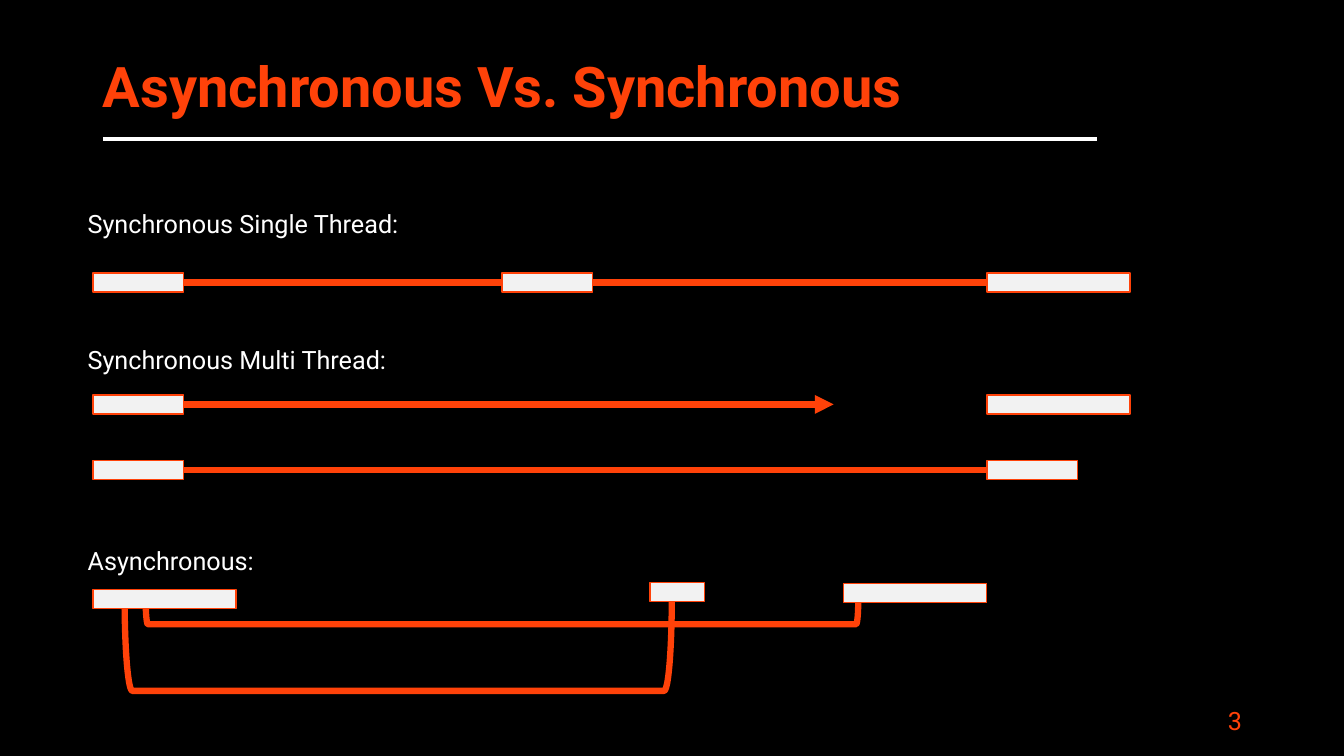
from pptx import Presentation
from pptx.dml.color import RGBColor
from pptx.enum.shapes import MSO_CONNECTOR, MSO_SHAPE
from pptx.enum.text import MSO_ANCHOR, PP_ALIGN
from pptx.oxml.ns import qn
from pptx.util import Cm, Pt
from lxml.etree import SubElement

BLACK = RGBColor(0x00, 0x00, 0x00)
WHITE = RGBColor(0xFF, 0xFF, 0xFF)
ORANGE = RGBColor(0xFF, 0x42, 0x09)
PALE = RGBColor(0xF2, 0xF2, 0xF2)


class ThreadSlide:
    font = "Roboto"
    bar_height = 0.48
    flow_width = Pt(4.5)

    def __init__(self, slide):
        self.shapes = slide.shapes
        slide.background.fill.solid()
        slide.background.fill.fore_color.rgb = BLACK

    def text(self, words, left, top, width, height, size=18, color=WHITE,
             bold=False, align=PP_ALIGN.LEFT, anchor=MSO_ANCHOR.TOP):
        frame = self.shapes.add_textbox(Cm(left), Cm(top), Cm(width), Cm(height)).text_frame
        frame.word_wrap = True
        frame.vertical_anchor = anchor
        paragraph = frame.paragraphs[0]
        paragraph.text = words
        paragraph.alignment = align
        paragraph.font.name = self.font
        paragraph.font.size = Pt(size)
        paragraph.font.bold = bold
        paragraph.font.color.rgb = color
        return paragraph

    def label(self, words, top):
        self.text(words, 1.96, top, 8.79, 1.02)

    def line(self, start, end, y, color=ORANGE, width=flow_width, arrow=False):
        connector = self.shapes.add_connector(
            MSO_CONNECTOR.STRAIGHT, Cm(start), Cm(y), Cm(end), Cm(y))
        connector.line.color.rgb = color
        connector.line.width = width
        if arrow:
            SubElement(connector.line._get_or_add_ln(), qn("a:tailEnd"), type="triangle")
        SubElement(connector._element.spPr, qn("a:effectLst"))

    def bar(self, left, width, middle):
        task = self.shapes.add_shape(
            MSO_SHAPE.RECTANGLE, Cm(left), Cm(middle - self.bar_height / 2),
            Cm(width), Cm(self.bar_height))
        task.shadow.inherit = False
        task.fill.solid()
        task.fill.fore_color.rgb = PALE
        task.line.color.rgb = ORANGE
        task.line.width = Pt(1)

    def bracket(self, left, top, span, depth):
        """Draw a bracket that opens upwards, placed by its turned outline."""
        shift = (span - depth) / 2
        link = self.shapes.add_shape(
            MSO_SHAPE.RIGHT_BRACKET, Cm(left + shift), Cm(top - shift), Cm(depth), Cm(span))
        link.rotation = 90
        link.shadow.inherit = False
        link.fill.background()
        link.line.color.rgb = ORANGE
        link.line.width = self.flow_width


presentation = Presentation()
presentation.slide_width, presentation.slide_height = Cm(33.87), Cm(19.05)
page = ThreadSlide(presentation.slides.add_slide(presentation.slide_layouts[6]))

# Title, rule and page number
title = page.text("Asynchronous Vs. Synchronous", 2.34, 1.02, 29.21, 2.49, size=40,
                  color=ORANGE, bold=True, anchor=MSO_ANCHOR.MIDDLE)
title.line_spacing = 0.9
page.line(27.64, 2.59, 3.51, color=WHITE, width=Pt(3))
page.text("3", 23.93, 17.65, 7.62, 1.02, color=ORANGE,
          align=PP_ALIGN.RIGHT, anchor=MSO_ANCHOR.MIDDLE)

# Synchronous timelines: middle, arrow end, bars as (left, width)
FIRST, LAST = 2.34, 24.87
SHORT, LONG = 2.29, 3.61
FLOW_START, FLOW_END = 2.59, 26.26
synchronous = {
    ("Synchronous Single Thread:", 5.13): [
        (7.12, FLOW_END, [(FIRST, SHORT), (12.65, SHORT), (LAST, LONG)]),
    ],
    ("Synchronous Multi Thread:", 8.56): [
        (10.19, 21.01, [(FIRST, SHORT), (LAST, LONG)]),
        (11.84, FLOW_END, [(FIRST, SHORT), (LAST, SHORT)]),
    ],
}
for (heading, heading_top), threads in synchronous.items():
    page.label(heading, heading_top)
    for middle, flow_end, tasks in threads:
        page.line(FLOW_START, flow_end, middle, arrow=True)
        for left, width in tasks:
            page.bar(left, width, middle)

# Asynchronous: brackets link the first task to its later ones
page.label("Asynchronous:", 13.61)
for left, span, depth in [(3.67, 17.96, 0.66), (3.14, 13.79, 2.34)]:
    page.bracket(left, 15.07, span, depth)
for left, width, middle in [(21.26, LONG, 14.95), (16.38, 1.37, 14.92), (FIRST, LONG, 15.1)]:
    page.bar(left, width, middle)

presentation.save("out.pptx")
